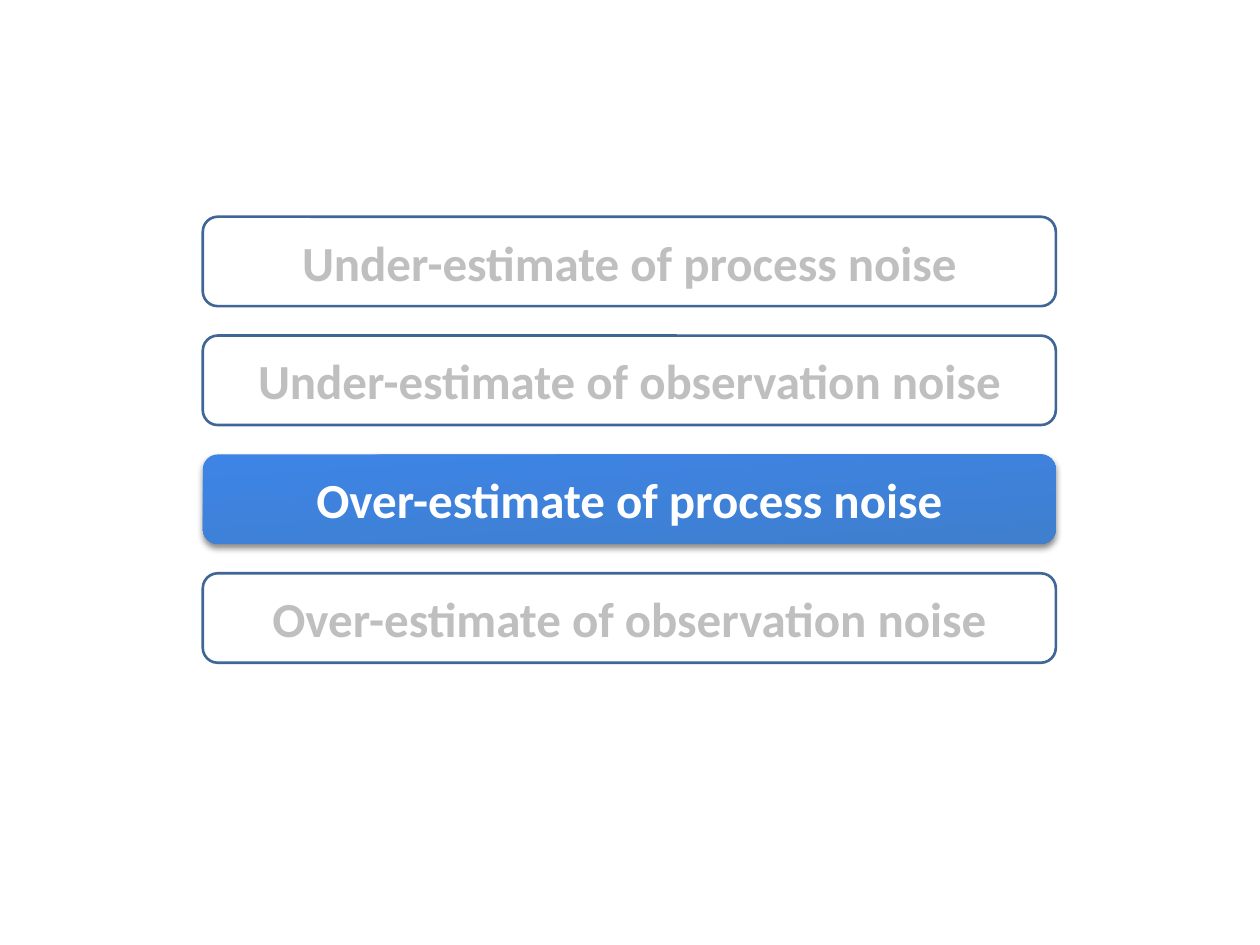
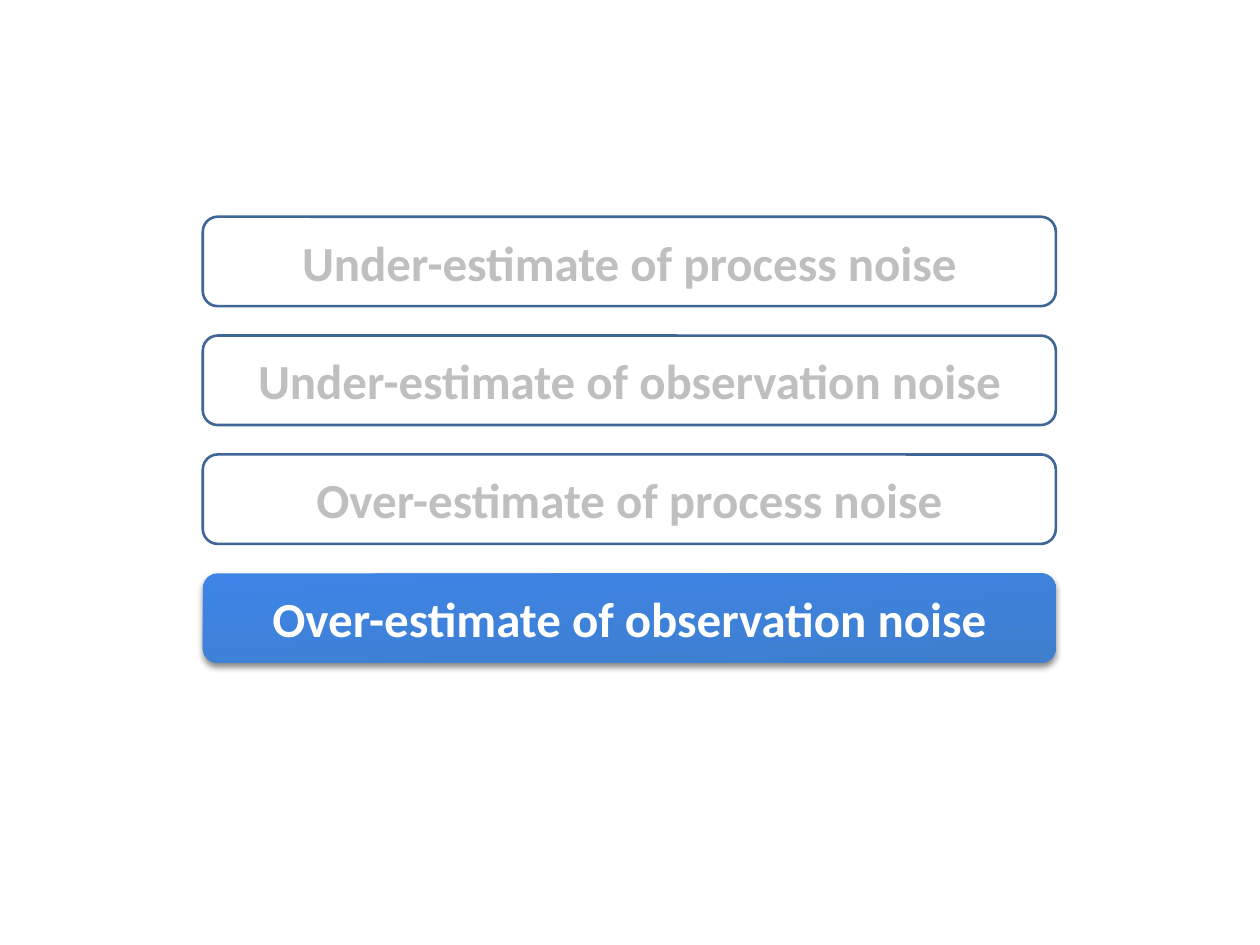
from dataclasses import dataclass

from lxml import etree
from pptx import Presentation
from pptx import util as u
from pptx.dml.color import RGBColor
from pptx.enum import shapes, text
from pptx.oxml import ns


@dataclass(frozen=True)
class Theme:
    font: str = "Calibri"
    label_size: int = 28
    paper: str = "FFFFFF"
    outline: str = "3F6696"
    outline_width: float = 1.5
    muted_text: str = "BFBFBF"
    active_text: str = "FFFFFF"
    active_fill: tuple[str, str] = ("3D84E6", "3F7FCE")
    active_angle: int = 360 - 86  # counter-clockwise degrees
    shadow: str = "000000"
    shadow_opacity: int = 48


@dataclass(frozen=True)
class Bar:
    label: str
    top: float
    active: bool


THEME = Theme()
LABELS = (
    "Under-estimate of process noise",
    "Under-estimate of observation noise",
    "Over-estimate of process noise",
    "Over-estimate of observation noise",
)
ACTIVE_LABELS = LABELS[2:]  # one slide each

# Bar stack, in inches
LEFT, WIDTH, HEIGHT = 1.61, 6.77, 0.71
FIRST_TOP, LAST_TOP = 1.72, 4.55
PITCH = (LAST_TOP - FIRST_TOP) / (len(LABELS) - 1)


def rgb(value: str) -> RGBColor:
    return RGBColor.from_string(value)


def add_shadow(sp) -> None:
    """Put a soft shadow straight below the shape."""
    effects = sp._element.spPr.find(ns.qn("a:effectLst"))
    shadow = etree.SubElement(
        effects, ns.qn("a:outerShdw"), blurRad=str(u.Pt(4)), dist=str(u.Pt(2)),
        dir=str(90 * 60000), rotWithShape="0")
    color = etree.SubElement(shadow, ns.qn("a:srgbClr"), val=THEME.shadow)
    etree.SubElement(color, ns.qn("a:alpha"), val=str(THEME.shadow_opacity * 1000))


def style_active(sp) -> None:
    sp.fill.gradient()
    sp.fill.gradient_angle = THEME.active_angle
    for stop, color in zip(sp.fill.gradient_stops, THEME.active_fill):
        stop.color.rgb = rgb(color)
    sp.line.fill.background()
    add_shadow(sp)


def style_muted(sp) -> None:
    sp.fill.solid()
    sp.fill.fore_color.rgb = rgb(THEME.paper)
    sp.line.color.rgb = rgb(THEME.outline)
    sp.line.width = u.Pt(THEME.outline_width)


def draw_bar(s, bar: Bar) -> None:
    sp = s.shapes.add_shape(
        shapes.MSO_SHAPE.ROUNDED_RECTANGLE, u.Inches(LEFT), u.Inches(bar.top),
        u.Inches(WIDTH), u.Inches(HEIGHT))
    sp.shadow.inherit = False
    if bar.active:
        style_active(sp)
    else:
        style_muted(sp)

    # Label
    tf = sp.text_frame
    tf.word_wrap = True
    tf.vertical_anchor = text.MSO_ANCHOR.MIDDLE
    p = tf.paragraphs[0]
    p.alignment = text.PP_ALIGN.CENTER
    r = p.add_run()
    r.text = bar.label
    r.font.name = THEME.font
    r.font.size = u.Pt(THEME.label_size)
    r.font.bold = True
    r.font.color.rgb = rgb(THEME.active_text if bar.active else THEME.muted_text)


def add_agenda_slide(prs, active_label: str) -> None:
    """Add the stack of bars with one of them highlighted."""
    s = prs.slides.add_slide(prs.slide_layouts[6])
    s.background.fill.solid()
    s.background.fill.fore_color.rgb = rgb(THEME.paper)
    for i, label in enumerate(LABELS):
        draw_bar(s, Bar(label, FIRST_TOP + i * PITCH, label == active_label))


def main() -> None:
    prs = Presentation()
    prs.slide_width, prs.slide_height = u.Inches(10), u.Inches(7.5)
    for label in ACTIVE_LABELS:
        add_agenda_slide(prs, label)
    prs.save("out.pptx")


if __name__ == "__main__":
    main()
